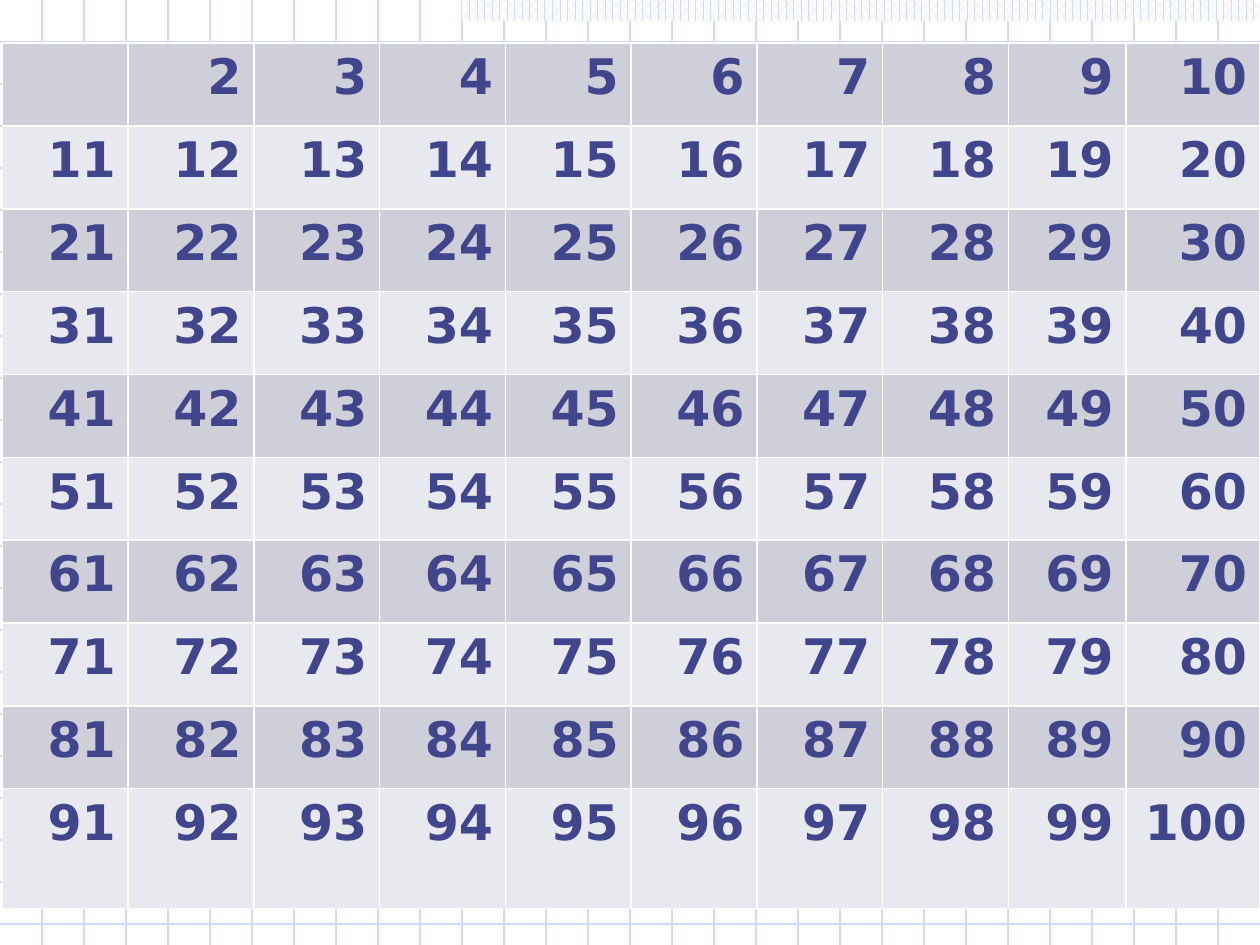
from lxml.etree import SubElement
from pptx import Presentation
from pptx.dml.color import RGBColor
from pptx.enum.dml import MSO_PATTERN as Pattern
from pptx.enum.shapes import MSO_CONNECTOR as Connector
from pptx.enum.shapes import MSO_SHAPE as Shape
from pptx.enum.text import PP_ALIGN as Align
from pptx.oxml.ns import qn
from pptx.util import Cm, Pt

NAVY = RGBColor(0x40, 0x45, 0x8C)
DARK_ROW = RGBColor(0xCF, 0xCF, 0xDA)
LIGHT_ROW = RGBColor(0xE8, 0xE9, 0xEE)
PALE_BLUE = RGBColor(0xCF, 0xDB, 0xFD)
WHITE = RGBColor(0xFF, 0xFF, 0xFF)
WIDTH, HEIGHT = 25.4, 19.05
GRID_STEP = WIDTH / 30


class NumberSlide:
    number_format = {"name": "DejaVu Sans", "size": Pt(28), "bold": True}
    table_format = {"first_row": False, "horz_banding": False}
    row_fills = (DARK_ROW, LIGHT_ROW)

    def __init__(self, slide):
        self.slide = slide

    def add_grid_line(self, *ends):
        grid_line = self.slide.shapes.add_connector(
            Connector.STRAIGHT, *map(Cm, ends))
        grid_line.line.color.rgb = PALE_BLUE
        grid_line.line.width = Pt(0.75)
        SubElement(grid_line._element.spPr, qn("a:effectLst"))

    def add_grid(self):
        for step in range(1, 23):
            self.add_grid_line(0, step * GRID_STEP, WIDTH, step * GRID_STEP)
        for step in range(1, 30):
            self.add_grid_line(step * GRID_STEP, 0, step * GRID_STEP, HEIGHT)

    def add_band(self, left, top, width, height):
        band = self.slide.shapes.add_shape(
            Shape.RECTANGLE, Cm(left), Cm(top), Cm(width), Cm(height))
        band.shadow.inherit = False
        band.line.fill.background()
        band.fill.patterned()
        band.fill.pattern = Pattern.PERCENT_60
        band.fill.fore_color.rgb = PALE_BLUE
        band.fill.back_color.rgb = WHITE

    def add_border(self, cell):
        properties = cell._tc.get_or_add_tcPr()
        for side in ("lnL", "lnR", "lnT", "lnB"):
            edge = SubElement(properties, qn(f"a:{side}"), w=str(Pt(1)))
            fill = SubElement(edge, qn("a:solidFill"))
            SubElement(fill, qn("a:srgbClr"), val=str(WHITE))

    def write_number(self, cell, number):
        paragraph = cell.text_frame.paragraphs[0]
        paragraph.alignment = Align.RIGHT
        run = paragraph.add_run()
        run.text = str(number)
        for key, value in self.number_format.items():
            setattr(run.font, key, value)
        run.font.color.rgb = NAVY

    def add_number_table(self, left, top, widths, heights):
        hundred = self.slide.shapes.add_table(
            len(heights), len(widths), Cm(left), Cm(top),
            Cm(sum(widths)), Cm(sum(heights))).table
        for key, value in self.table_format.items():
            setattr(hundred, key, value)
        for column, width in zip(hundred.columns, widths):
            column.width = Cm(width)
        for row_index, (row, height) in enumerate(zip(hundred.rows, heights)):
            row.height = Cm(height)
            for column_index, cell in enumerate(row.cells):
                self.add_border(cell)
                cell.fill.solid()
                cell.fill.fore_color.rgb = self.row_fills[row_index % 2]
                number = row_index * len(widths) + column_index + 1
                if number > 1:
                    self.write_number(cell, number)


def main():
    deck = Presentation()
    deck.slide_width, deck.slide_height = Cm(WIDTH), Cm(HEIGHT)
    numbers = NumberSlide(deck.slides.add_slide(deck.slide_layouts[6]))
    numbers.add_grid()
    numbers.add_band(9.31, 0, 16.09, 0.42)
    numbers.add_number_table(
        0.05, 0.87, [20.28 / 8] * 8 + [2.37, 2.69], [1.67] * 9 + [2.41])
    deck.save("out.pptx")


if __name__ == "__main__":
    main()
